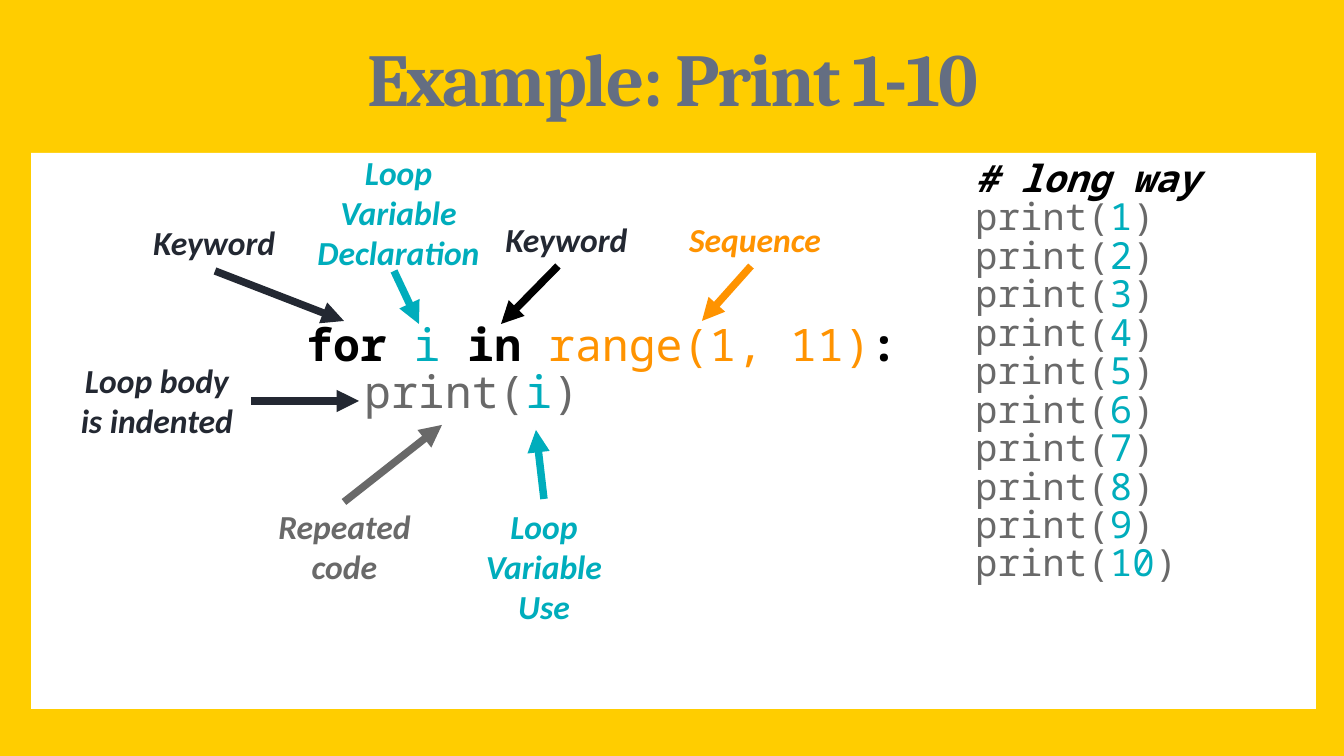
from lxml import etree
from pptx import Presentation
from pptx.dml.color import RGBColor
from pptx.enum.shapes import MSO_CONNECTOR, MSO_SHAPE
from pptx.enum.text import MSO_ANCHOR, MSO_AUTO_SIZE, PP_ALIGN
from pptx.oxml.ns import qn
from pptx.util import Emu, Pt

LEFT, CENTER = PP_ALIGN.LEFT, PP_ALIGN.CENTER
MIDDLE = MSO_ANCHOR.MIDDLE
GROW = MSO_AUTO_SIZE.SHAPE_TO_FIT_TEXT
STRAIGHT = MSO_CONNECTOR.STRAIGHT
RECTANGLE = MSO_SHAPE.RECTANGLE
TOP_SIDE = 0

EMU_PER_PX = 914400 / 134.4
COLORS = {
    "yellow": "FFCD00",
    "white": "FFFFFF",
    "slate": "646E82",
    "black": "000000",
    "dark": "232832",
    "teal": "00ADBC",
    "orange": "FF9300",
    "gray": "696969",
}


def px(length):
    return Emu(round(length * EMU_PER_PX))


def rgb(name):
    return RGBColor.from_string(COLORS[name])


class LessonSlide:
    """Style and drawing methods for one annotated code slide."""

    title_font = "Cambria"
    label_font = "Calibri"
    code_font = "Noto Sans Mono"

    def __init__(self, slide):
        self.slide = slide
        self.shapes = slide.shapes

    def background(self, color):
        fill = self.slide.background.fill
        fill.solid()
        fill.fore_color.rgb = rgb(color)

    def panel(self, box, color):
        panel = self.shapes.add_shape(RECTANGLE, *map(px, box))
        panel.shadow.inherit = False
        panel.fill.solid()
        panel.fill.fore_color.rgb = rgb(color)
        panel.line.fill.background()

    def text_box(self, box, wrap=True):
        text_box = self.shapes.add_textbox(*map(px, box))
        text_box.text_frame.word_wrap = wrap
        return text_box

    def style(self, paragraph, name, size, color=None, bold=None, italic=None):
        font = paragraph.font
        font.name, font.size = name, Pt(size)
        font.bold, font.italic = bold, italic
        if color:
            font.color.rgb = rgb(color)

    def title(self, box, text):
        frame = self.text_box(box).text_frame
        frame.vertical_anchor = MIDDLE
        frame.margin_left = frame.margin_right = px(16)
        frame.margin_top = frame.margin_bottom = px(9)
        heading = frame.paragraphs[0]
        heading.alignment = CENTER
        heading.line_spacing = 0.9
        run = heading.add_run()
        run.text = text
        run.font._element.set("spc", "-110")
        self.style(heading, self.title_font, 40, "slate", bold=True)

    def label(self, box, lines, color, align=CENTER, wrap=True):
        label = self.text_box(box, wrap)
        frame = label.text_frame
        frame.auto_size = GROW
        for index, line in enumerate(lines):
            paragraph = frame.add_paragraph() if index else frame.paragraphs[0]
            paragraph.text = line
            paragraph.alignment = align
            self.style(paragraph, self.label_font, 18, color, bold=True, italic=True)
        return label

    def code(self, box, size, lines):
        frame = self.text_box(box).text_frame
        for index, (indent, tokens) in enumerate(lines):
            paragraph = frame.add_paragraph() if index else frame.paragraphs[0]
            paragraph.line_spacing = 0.8
            if index:
                paragraph.space_before = Pt(round(size * 0.07, 1))
            if indent:
                paragraph._p.get_or_add_pPr().set("marL", str(px(indent)))
            self.style(paragraph, self.code_font, size)
            for text, color, bold, italic in tokens:
                run = paragraph.add_run()
                run.text = text
                run.font.color.rgb = rgb(color)
                run.font.bold, run.font.italic = bold, italic

    def arrow(self, start, end, color, source=None):
        arrow = self.shapes.add_connector(STRAIGHT, *map(px, start + end))
        if source is not None:
            arrow.begin_connect(source, TOP_SIDE)
        arrow.line.width = Pt(4)
        arrow.line.color.rgb = rgb(color)
        line = arrow.line._get_or_add_ln()
        etree.SubElement(line, qn("a:tailEnd"), type="triangle")
        etree.SubElement(arrow._element.spPr, qn("a:effectLst"))


def token(text, color, bold=False, italic=False):
    return text, color, bold, italic


def print_call(argument):
    return [token("print(", "gray"), token(argument, "teal"), token(")", "gray")]


def main():
    deck = Presentation()
    deck.slide_width, deck.slide_height = px(1344), px(756)
    lesson = LessonSlide(deck.slides.add_slide(deck.slide_layouts[6]))

    lesson.background("yellow")
    lesson.panel((31, 153, 1285, 556), "white")
    lesson.title((30, 32, 1285, 100), "Example: Print 1-10")

    loop_header = [
        token("for ", "black", bold=True),
        token("i ", "teal"),
        token("in ", "black", bold=True),
        token("range(1, 11)", "orange"),
        token(":", "black", bold=True),
    ]
    lesson.code((293, 321, 644, 134), 24, [(0, loop_header), (58, print_call("i"))])

    lesson.label((140, 215, 156, 54), ["Keyword"], "dark", align=LEFT)
    lesson.label((301, 145, 195, 136), ["Loop Variable", "Declaration"], "teal")
    lesson.label((675, 212, 160, 54), ["Sequence"], "orange", wrap=False)
    lesson.label((259, 499, 171, 95), ["Repeated code"], "gray")
    variable_use = lesson.label((460, 499, 168, 136), ["Loop Variable Use"], "teal")
    lesson.label((11, 353, 292, 95), ["Loop body\vis indented"], "dark")
    lesson.label((492, 212, 149, 54), ["Keyword"], "dark")

    for start, end, color, source in (
        ((215, 271), (344, 321), "dark", None),
        ((394, 271), (419, 324), "teal", None),
        ((751, 266), (702, 321), "orange", None),
        ((344, 502), (442, 425), "gray", None),
        ((544, 499), (536, 430), "teal", variable_use),
        ((251, 401), (359, 401), "dark", None),
        ((558, 266), (501, 324), "black", None),
    ):
        lesson.arrow(start, end, color, source)

    comment = [token("# long way", "black", bold=True, italic=True)]
    long_way = [(0, comment)] + [(0, print_call(str(n))) for n in range(1, 11)]
    lesson.code((962, 157, 324, 508), 20, long_way)

    deck.save("out.pptx")


if __name__ == "__main__":
    main()
